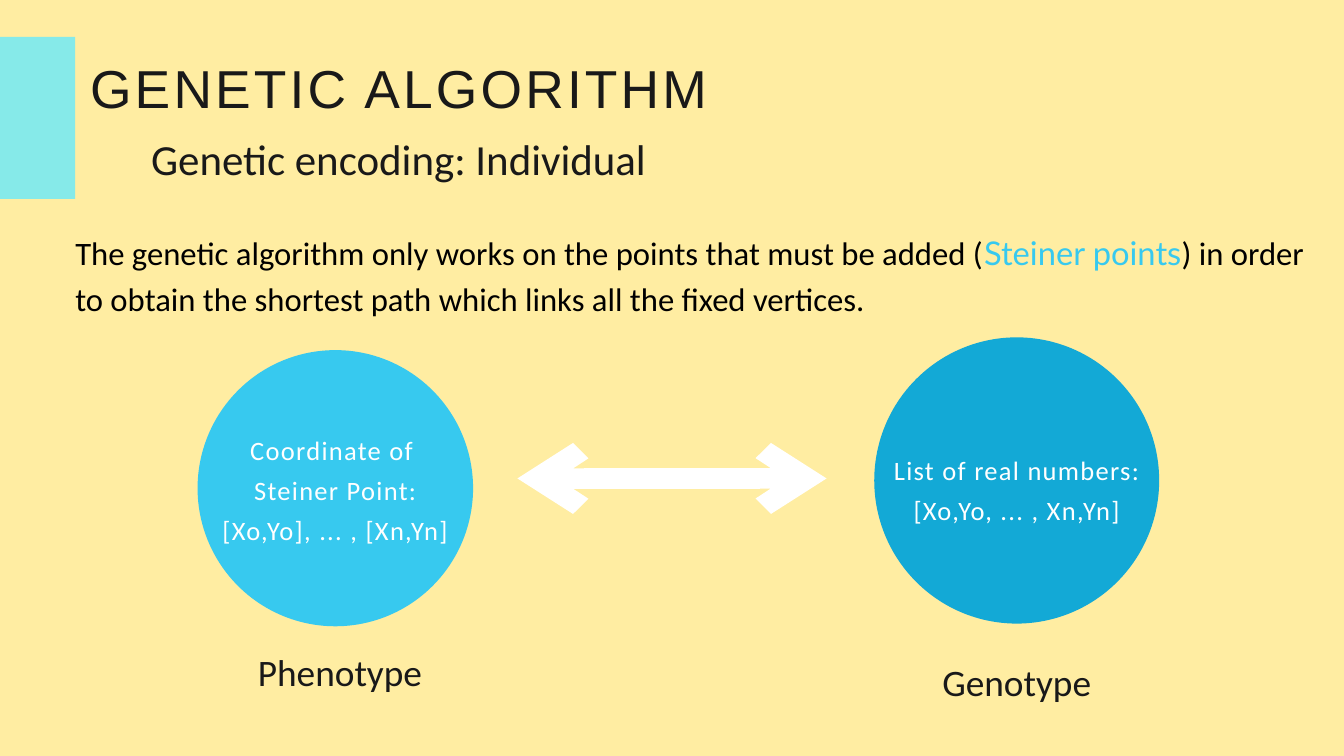
from lxml.etree import SubElement
from pptx import Presentation
from pptx.dml.color import RGBColor
from pptx.enum.shapes import MSO_CONNECTOR, MSO_SHAPE
from pptx.enum.text import PP_ALIGN
from pptx.oxml.ns import qn
from pptx.util import Inches, Pt

CREAM = RGBColor(0xFF, 0xED, 0xA2)
MINT = RGBColor(0x86, 0xEA, 0xE9)
SKY = RGBColor(0x37, 0xC9, 0xEF)
BLUE = RGBColor(0x13, 0xA9, 0xD6)
INK = RGBColor(0x19, 0x19, 0x19)
BLACK = RGBColor(0, 0, 0)
WHITE = RGBColor(0xFF, 0xFF, 0xFF)

WIDE, HIGH = 20, 11.25
LEFT, MID = PP_ALIGN.LEFT, PP_ALIGN.CENTER

SHAPES = [
    (MSO_SHAPE.RECTANGLE, (0, 0.55, 1.12, 2.41), MINT),
    (MSO_SHAPE.OVAL, (2.94, 5.21, 4.1, 4.11), SKY),
    (MSO_SHAPE.OVAL, (13.01, 5.02, 4.24, 4.26), BLUE),
]

STYLES = {
    "title": ("Arial", 57.2, INK, LEFT, 70.4, 3.4),
    "subtitle": ("Calibri", 46, INK, MID, 64.4, 0),
    "label": ("Calibri", 40, INK, MID, 56, 0),
    "circle": ("Calibri", 28.4, WHITE, MID, 42.6, 1.4),
    "body": ("Calibri", 35, BLACK, LEFT, 49, 0),
}

TEXTS = [
    ("title", (1.34, 0.8, 10.08, 0.96), [["GENETIC ALGORITHM"]]),
    ("subtitle", (1.34, 1.84, 9.18, 0.86), [["Genetic encoding: Individual"]]),
    ("label", (3.63, 9.55, 2.86, 0.72), [["Phenotype"]]),
    ("label", (13.51, 9.7, 3.24, 0.75), [["Genotype"]]),
    ("circle", (2.81, 6.34, 4.36, 1.75),
     [["Coordinate of "], ["Steiner Point:"], ["[Xo,Yo], ... , [Xn,Yn]"]]),
    ("circle", (12.95, 6.64, 4.36, 1.16),
     [["List of real numbers:"], ["[Xo,Yo, ... , Xn,Yn]"]]),
    ("body", (1.12, 3.37, 18.51, 1.33),
     [["The genetic algorithm only works on the points that must be added (",
       "Steiner points",
       ") in order to obtain the shortest path which links all the fixed vertices."]]),
]
ACCENTS = {"Steiner points": ("Lato", SKY)}
ARROW = (7.7, 7.12, 12.3, 7.12)


def add_shape(slide, kind, box, fill):
    shape = slide.shapes.add_shape(kind, *map(Inches, box))
    shape.shadow.inherit = False
    shape.fill.solid()
    shape.fill.fore_color.rgb = fill
    shape.line.fill.background()


def add_text(slide, style, box, lines):
    face, size, ink, align, pitch, gap = STYLES[style]
    frame = slide.shapes.add_textbox(*map(Inches, box)).text_frame
    frame.word_wrap = True
    frame.margin_left = frame.margin_right = 0
    frame.margin_top = frame.margin_bottom = 0
    for i, line in enumerate(lines):
        para = frame.add_paragraph() if i else frame.paragraphs[0]
        para.alignment = align
        para.line_spacing = Pt(pitch)
        for part in line:
            run = para.add_run()
            run.text = part
            font = run.font
            font.name, font.color.rgb = ACCENTS.get(part, (face, ink))
            font.size = Pt(size)
            if gap:
                run._r.get_or_add_rPr().set("spc", str(round(gap * 100)))


def add_arrow(slide, ends):
    arrow = slide.shapes.add_connector(MSO_CONNECTOR.STRAIGHT, *map(Inches, ends))
    arrow.line.color.rgb = WHITE
    arrow.line.width = Pt(21.75)
    line = arrow.line._get_or_add_ln()
    for end in ("a:headEnd", "a:tailEnd"):
        SubElement(line, qn(end), type="arrow")
    SubElement(arrow._element.spPr, qn("a:effectLst"))


def main():
    """Build the genetic encoding slide."""
    deck = Presentation()
    deck.slide_width, deck.slide_height = Inches(WIDE), Inches(HIGH)
    slide = deck.slides.add_slide(deck.slide_layouts[6])
    slide.background.fill.solid()
    slide.background.fill.fore_color.rgb = CREAM
    for item in SHAPES:
        add_shape(slide, *item)
    for item in TEXTS:
        add_text(slide, *item)
    add_arrow(slide, ARROW)
    deck.save("out.pptx")


if __name__ == "__main__":
    main()
